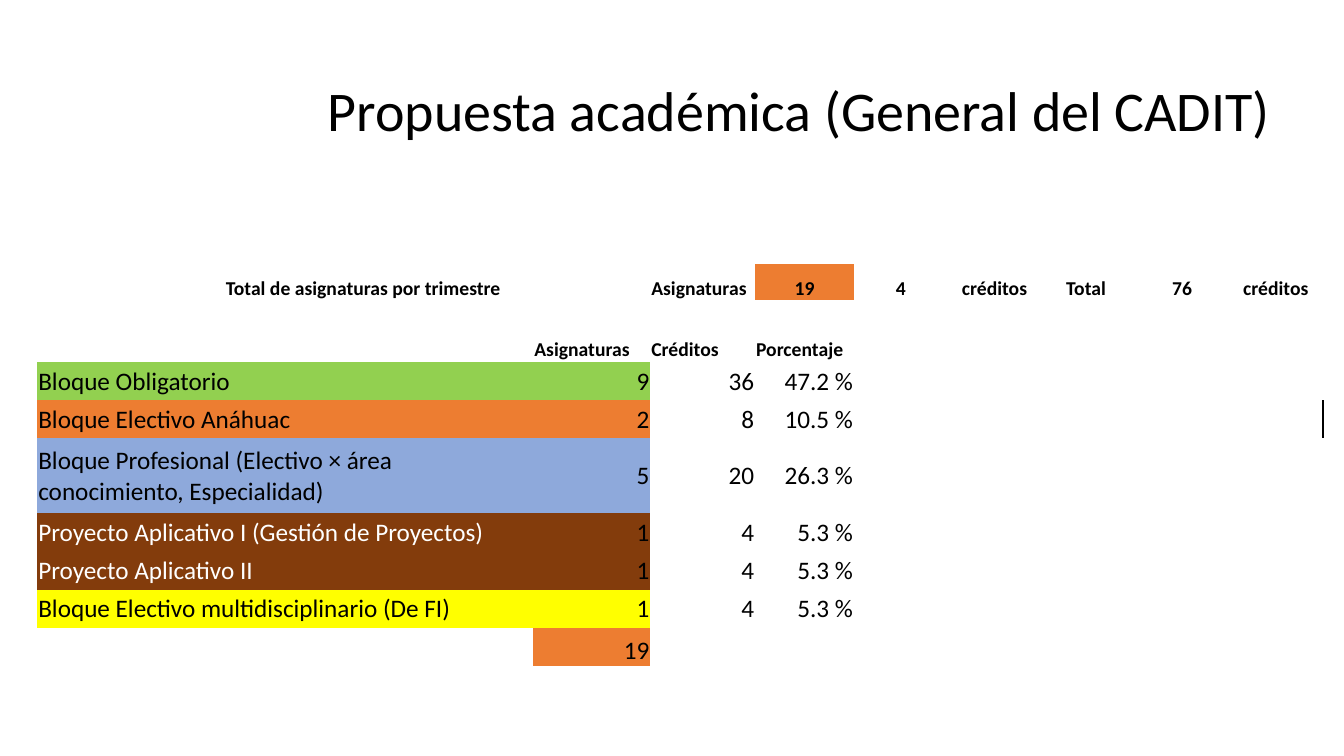
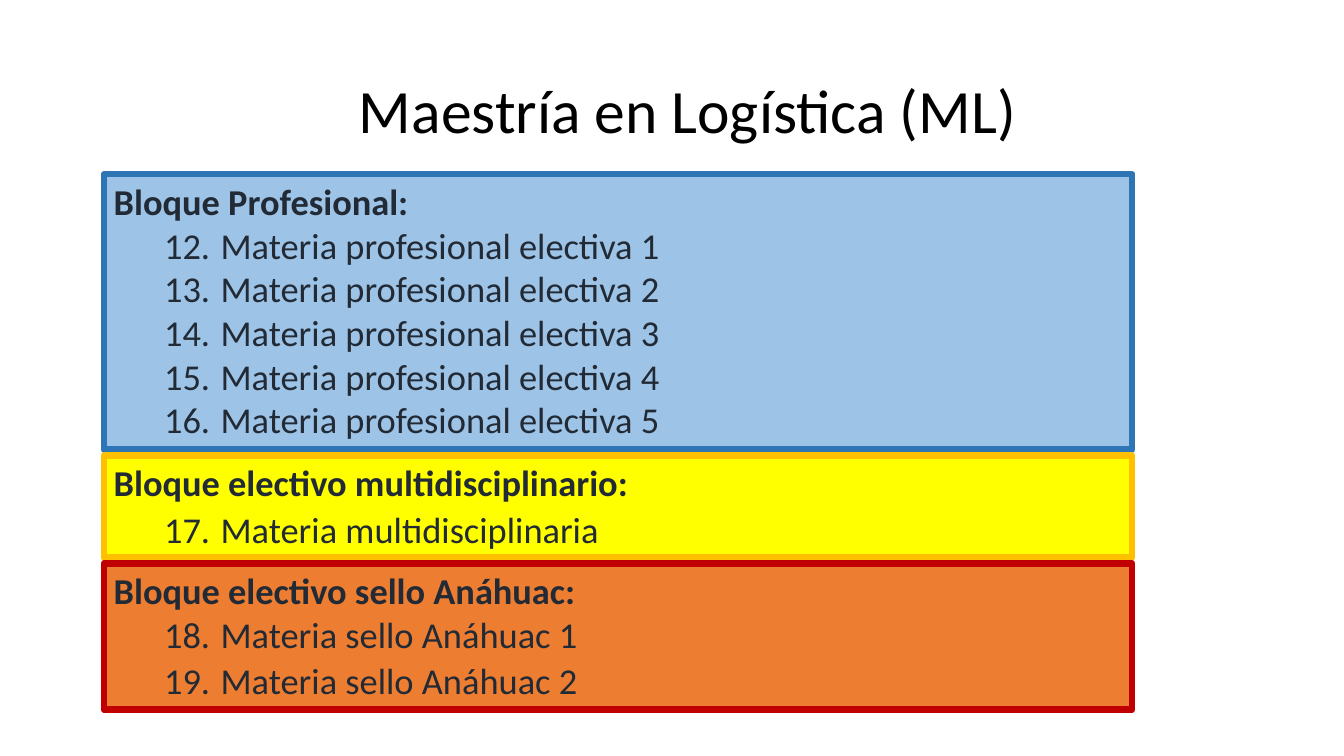
from lxml.etree import SubElement
from pptx import Presentation
from pptx.dml.color import RGBColor
from pptx.enum.shapes import MSO_SHAPE
from pptx.enum.text import MSO_ANCHOR as Anchor, MSO_AUTO_SIZE as AutoSize, PP_ALIGN as Align
from pptx.oxml import parse_xml
from pptx.oxml.ns import nsdecls, qn
from pptx.util import Inches, Pt

FONT = "Calibri"
BLACK = RGBColor(0x00, 0x00, 0x00)
WHITE = RGBColor(0xFF, 0xFF, 0xFF)
INK = RGBColor(0x22, 0x2A, 0x35)
GREEN = RGBColor(0x92, 0xD0, 0x50)
ORANGE = RGBColor(0xED, 0x7D, 0x31)
PERIWINKLE = RGBColor(0x8E, 0xA9, 0xDB)
BROWN = RGBColor(0x83, 0x3C, 0x0C)
YELLOW = RGBColor(0xFF, 0xFF, 0x00)
LIGHT_BLUE = RGBColor(0x9D, 0xC3, 0xE6)
BLUE = RGBColor(0x2E, 0x75, 0xB6)
GOLD = RGBColor(0xFF, 0xC0, 0x00)
RED = RGBColor(0xC0, 0x00, 0x00)
PLAIN_TABLE_STYLE = "{2D5ABB26-0587-4C30-8999-92F81FD0307C}"

COLUMN_WIDTHS = [0.93, 0.93, 3.06, 1.16, 1, 0.04, 0.98] + [0.93] * 5
ROW_HEIGHTS = [0.38, 0.38, 0.36, 0.36, 0.25, 0.38, 0.38, 0.74] + [0.38] * 4
HEADER_SPANS = [(0, 2, 4), (0, 5, 6), (1, 2, 5), (2, 2, 3), (2, 4, 5), (3, 4, 5), (4, 4, 5)]
BLOCK_SPANS = [(row, first, last) for row in range(5, 11)
               for first, last in ((0, 2), (4, 5), (7, 11))]
SUM_SPANS = [(11, 4, 5), (11, 7, 11)]
VALUE_COLUMNS = [3, 4, 6]
TOTALS = ["19", "4", "créditos", "Total ", "76", "créditos"]
HEADINGS = ["Asignaturas", "Créditos", "Porcentaje"]
BLOCKS = [
    ("Bloque Obligatorio", GREEN, BLACK, ["9", "36", "47.2 %"]),
    ("Bloque Electivo Anáhuac", ORANGE, BLACK, ["2", "8", "10.5 %"]),
    ("Bloque Profesional (Electivo × área conocimiento, Especialidad)",
     PERIWINKLE, BLACK, ["5", "20", "26.3 %"]),
    ("Proyecto Aplicativo I (Gestión de Proyectos)", BROWN, WHITE, ["1", "4", "5.3 %"]),
    ("Proyecto Aplicativo II", BROWN, WHITE, ["1", "4", "5.3 %"]),
    ("Bloque Electivo multidisciplinario (De FI)", YELLOW, BLACK, ["1", "4", "5.3 %"]),
]


class Deck:
    def __init__(self):
        self.presentation = Presentation()
        self.presentation.slide_width = Inches(13.33)
        self.presentation.slide_height = Inches(7.5)
        self.slide = None

    def add_slide(self, title, left, width, size):
        self.slide = self.presentation.slides.add_slide(self.presentation.slide_layouts[5])
        shape = self.slide.shapes.title
        shape.left, shape.top = Inches(left), Inches(0.4)
        shape.width, shape.height = Inches(width), Inches(1.45)
        frame = shape.text_frame
        frame.auto_size = AutoSize.NONE
        frame.vertical_anchor = Anchor.MIDDLE
        paragraph = frame.paragraphs[0]
        paragraph.alignment = Align.LEFT
        paragraph.line_spacing = 0.9
        self.add_run(paragraph, title, size, BLACK)

    def add_run(self, paragraph, text, size, color, bold=False):
        run = paragraph.add_run()
        run.text = text
        run.font.name = FONT
        run.font.size = Pt(size)
        run.font.bold = bold
        run.font.color.rgb = color

    def add_table(self, left, top, widths, heights, spans):
        frame = self.slide.shapes.add_table(
            len(heights), len(widths), Inches(left), Inches(top),
            Inches(sum(widths)), Inches(sum(heights)))
        table = frame.table
        table.first_row = table.horz_banding = False
        table._tbl.tblPr.find(qn("a:tableStyleId")).text = PLAIN_TABLE_STYLE
        for column, width in zip(table.columns, widths):
            column.width = Inches(width)
        for row, height in zip(table.rows, heights):
            row.height = Inches(height)
        for cell in table.iter_cells():
            cell.margin_left = cell.margin_right = cell.margin_top = Inches(0.01)
            cell.margin_bottom = 0
            cell.fill.background()
            paragraph = cell.text_frame.paragraphs[0]
            SubElement(paragraph._p, qn("a:endParaRPr")).set("sz", "1400")
        for row, first, last in spans:
            table.cell(row, first).merge(table.cell(row, last))
        return table

    def fill_cell(self, cell, text, size=18, color=BLACK, fill=None, bold=False,
                  align=Align.LEFT, anchor=Anchor.MIDDLE):
        cell.vertical_anchor = anchor
        paragraph = cell.text_frame.paragraphs[0]
        paragraph.alignment = align
        self.add_run(paragraph, text, size, color, bold)
        if fill is not None:
            cell.fill.solid()
            cell.fill.fore_color.rgb = fill

    def add_right_border(self, cell):
        cell._tc.get_or_add_tcPr().insert(0, parse_xml(
            f'<a:lnR {nsdecls("a")} w="{Pt(1.5)}"><a:solidFill>'
            f'<a:srgbClr val="{BLACK}"/></a:solidFill></a:lnR>'))

    def add_block(self, top, height, fill, line, heading, items, start, ending=""):
        shape = self.slide.shapes.add_shape(
            MSO_SHAPE.RECTANGLE, Inches(1.03), Inches(top), Inches(10.2), Inches(height))
        shape.shadow.inherit = False
        shape.fill.solid()
        shape.fill.fore_color.rgb = fill
        shape.line.color.rgb = line
        shape.line.width = Pt(4.5)
        frame = shape.text_frame
        frame.word_wrap = True
        frame.vertical_anchor = Anchor.TOP
        paragraph = frame.paragraphs[0]
        paragraph.alignment = Align.LEFT
        self.add_run(paragraph, heading, 26, INK, bold=True)
        for item in items:
            paragraph = frame.add_paragraph()
            paragraph.alignment = Align.LEFT
            paragraph.level = 1
            properties = paragraph._p.get_or_add_pPr()
            properties.set("marL", str(Inches(1.06)))
            properties.set("indent", str(-Inches(0.56)))
            number = SubElement(properties, qn("a:buAutoNum"))
            number.set("type", "arabicPeriod")
            number.set("startAt", str(start))
            self.add_run(paragraph, item, 26, INK)
        if ending:
            self.add_run(paragraph, ending, 28, INK)


def build_proposal(deck):
    deck.add_slide("Propuesta académica (General del CADIT)", 3.15, 9.84, 40)
    table = deck.add_table(0.37, 1.86, COLUMN_WIDTHS, ROW_HEIGHTS,
                           HEADER_SPANS + BLOCK_SPANS + SUM_SPANS)
    header = {"size": 14, "bold": True, "anchor": Anchor.BOTTOM}
    deck.fill_cell(table.cell(2, 2), "Total de asignaturas por trimestre", **header)
    deck.fill_cell(table.cell(2, 4), "Asignaturas", **header)
    for column, text in enumerate(TOTALS, 6):
        deck.fill_cell(table.cell(2, column), text, align=Align.CENTER,
                       fill=ORANGE if column == 6 else None, **header)
    for column, text in zip(VALUE_COLUMNS, HEADINGS):
        deck.fill_cell(table.cell(4, column), text, **header)
    for row, (name, fill, color, values) in enumerate(BLOCKS, 5):
        deck.fill_cell(table.cell(row, 0), name, color=color, fill=fill)
        for column, value in zip(VALUE_COLUMNS, values):
            deck.fill_cell(table.cell(row, column), value, align=Align.RIGHT,
                           fill=fill if column == 3 else None)
    deck.fill_cell(table.cell(11, 3), "19", fill=ORANGE, align=Align.RIGHT,
                   anchor=Anchor.BOTTOM)
    for column in (7, 11):
        deck.add_right_border(table.cell(6, column))


def build_logistics(deck):
    deck.add_slide("Maestría en Logística (ML)", 3.46, 8.96, 44)
    electives = [f"Materia profesional electiva {number}" + ("\t" if number in (2, 5) else "")
                 for number in range(1, 6)]
    deck.add_block(1.73, 2.73, LIGHT_BLUE, BLUE, "Bloque Profesional:", electives, 12)
    deck.add_block(4.52, 1.01, YELLOW, GOLD, "Bloque electivo multidisciplinario:",
                   ["Materia multidisciplinaria "], 17, ending=" ")
    deck.add_block(5.59, 1.45, ORANGE, RED, "Bloque electivo sello Anáhuac:",
                   ["Materia sello Anáhuac 1", "Materia sello Anáhuac 2 "], 18, ending="\t")


def main():
    deck = Deck()
    build_proposal(deck)
    build_logistics(deck)
    deck.presentation.save("out.pptx")


if __name__ == "__main__":
    main()
